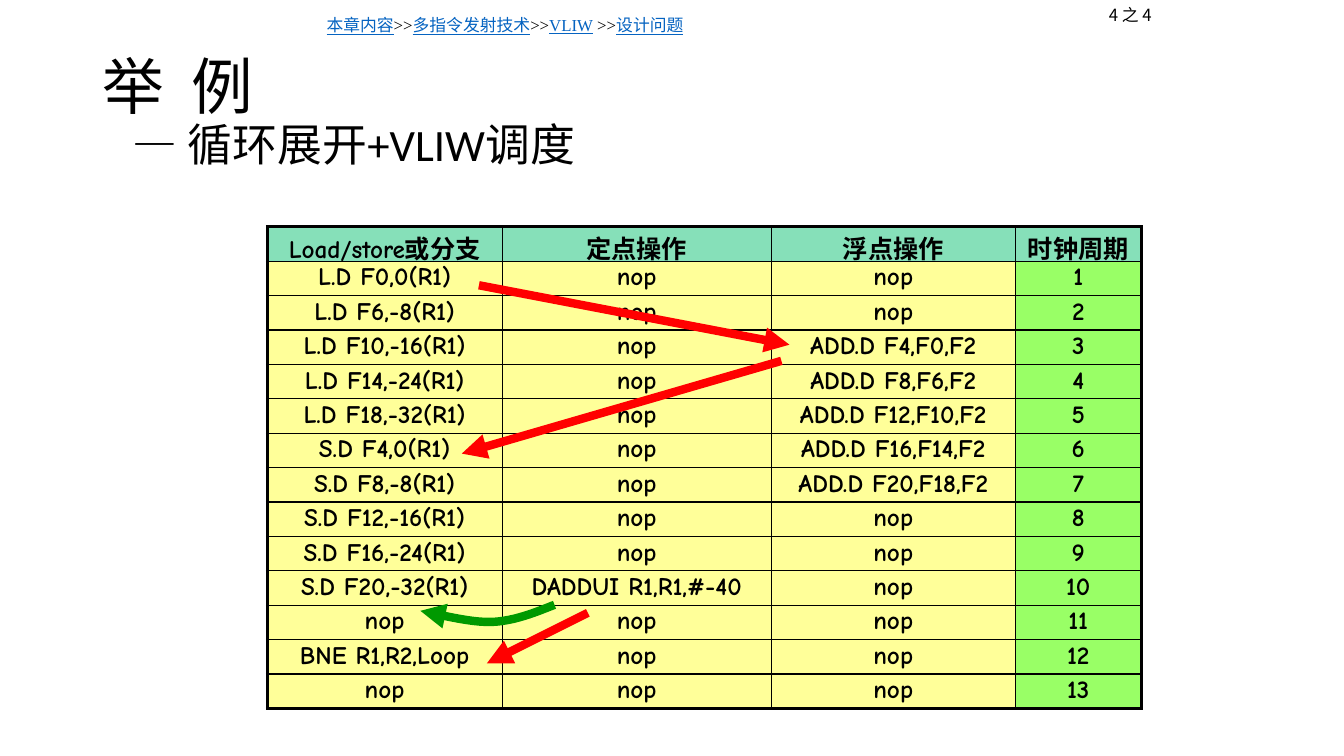
from lxml import etree
from pptx import Presentation
from pptx import util as u
from pptx.dml.color import RGBColor
from pptx.enum import shapes, text
from pptx.oxml.ns import qn

COLORS = {"ink": "000000", "link": "0563C1", "head": "86E0B9", "body": "FFFF99",
          "clock": "99FF66", "red": "FF0000", "green": "009900"}
HEADS = ["Load/store或分支", "定点操作", "浮点操作", "时钟周期"]
MEMORY = ["L.D F0,0(R1)", "L.D F6,-8(R1)", "L.D F10,-16(R1)", "L.D F14,-24(R1)",
          "L.D F18,-32(R1)", "S.D F4,0(R1)", "S.D F8,-8(R1)", "S.D F12,-16(R1)",
          "S.D F16,-24(R1)", "S.D F20,-32(R1)", "nop", "BNE R1,R2,Loop", "nop"]
FIXED = ["nop"] * 9 + ["DADDUI R1,R1,#-40"] + ["nop"] * 3
FLOAT = ["nop"] * 2 + ["ADD.D F4,F0,F2", "ADD.D F8,F6,F2", "ADD.D F12,F10,F2",
                       "ADD.D F16,F14,F2", "ADD.D F20,F18,F2"] + ["nop"] * 6
WIDTHS = [2.33, 2.67, 2.42, 1.25]
CJK = "Noto Sans CJK SC"


def rgb(name):
    return RGBColor.from_string(COLORS[name])


def write(par, words, size=12, font="Calibri", color="ink", bold=False, line=False):
    """Add one formatted run to a paragraph."""
    run = par.add_run()
    run.text = words
    face = run.font
    face.size, face.name, face.bold, face.underline = u.Pt(size), font, bold, line
    face.color.rgb = rgb(color)
    east = etree.SubElement(run._r.get_or_add_rPr(), qn("a:ea"))
    east.set("typeface", CJK)


def frame(slide, box):
    """Add a wrapping text box and return its text frame."""
    area = slide.shapes.add_textbox(*map(u.Inches, box)).text_frame
    area.word_wrap = True
    return area


def title(slide, box):
    area = frame(slide, box)
    area.vertical_anchor = text.MSO_ANCHOR.MIDDLE
    top, sub = area.paragraphs[0], area.add_paragraph()
    write(top, "举  例", size=44)
    write(sub, "— 循环展开+VLIW调度", size=32)
    sub._p.get_or_add_pPr().set("marL", str(u.Inches(0.3)))
    for par in (top, sub):
        par.line_spacing = 0.9


def trail(slide, box):
    """Breadcrumb whose links alternate with plain separators."""
    par = frame(slide, box).paragraphs[0]
    parts = ["本章内容", ">>", "多指令发射技术", ">>", "VLIW", " >>", "设计问题"]
    for i, part in enumerate(parts):
        link = i % 2 == 0
        write(par, part, font="Times New Roman", color="link" if link else "ink", line=link)


def number(slide, box):
    par = frame(slide, box).paragraphs[0]
    par.alignment = text.PP_ALIGN.CENTER
    write(par, "4 之 4", font=CJK)


def border(cell, edges):
    """Draw cell sides; edges maps a side letter to a width in points."""
    props = cell._tc.get_or_add_tcPr()
    for i, (side, width) in enumerate(edges.items()):
        line = etree.Element(qn("a:ln" + side), w=str(u.Pt(width)))
        fill = etree.SubElement(line, qn("a:solidFill"))
        etree.SubElement(fill, qn("a:srgbClr"), val=COLORS["ink"])
        props.insert(i, line)


def schedule(slide, box):
    clock = [str(n) for n in range(1, len(MEMORY) + 1)]
    rows = [HEADS, *zip(MEMORY, FIXED, FLOAT, clock)]
    last, end = len(rows) - 1, len(HEADS) - 1
    table = slide.shapes.add_table(len(rows), len(HEADS), *map(u.Inches, box)).table
    for col, width in zip(table.columns, WIDTHS):
        col.width = u.Inches(width)
    for r, row in enumerate(rows):
        table.rows[r].height = u.Inches(box[3] / len(rows))
        for c, words in enumerate(row):
            cell = table.cell(r, c)
            cell.margin_left = cell.margin_right = 0
            cell.margin_top = cell.margin_bottom = u.Inches(0.02)
            cell.fill.solid()
            cell.fill.fore_color.rgb = rgb("head" if r == 0 else "clock" if c == end else "body")
            par = cell.text_frame.paragraphs[0]
            par.alignment = text.PP_ALIGN.CENTER
            write(par, words, size=18, font="Comic Neue", bold=True)
            outer = {"L": c == 0, "R": c == end, "T": r == 0, "B": r == last}
            border(cell, {side: 2.25 if out else 1 for side, out in outer.items()})


def arrow(shape, color):
    """Give a line its colour, width and arrowhead."""
    shape.line.color.rgb = rgb(color)
    shape.line.width = u.Pt(6)
    etree.SubElement(shape.line._get_or_add_ln(), qn("a:tailEnd"), type="triangle")


def bezier(points, steps=12):
    """Sample a cubic curve, leaving out its start."""
    a, b, c, d = points
    for i in range(1, steps + 1):
        t = i / steps
        s = 1 - t
        yield tuple(s**3 * p + 3 * s * s * t * q + 3 * s * t * t * v + t**3 * w
                    for p, q, v, w in zip(a, b, c, d))


def links(slide, box):
    """Dependence arrows, placed from the table's corner."""
    x, y = box[:2]
    for ends in [(2.1, 0.58, 5.18, 1.17), (5.1, 1.33, 1.93, 2.25), (3.18, 3.83, 2.18, 4.33)]:
        x1, y1, x2, y2 = ends
        line = slide.shapes.add_connector(shapes.MSO_CONNECTOR.STRAIGHT,
                                          *map(u.Inches, (x + x1, y + y1, x + x2, y + y2)))
        arrow(line, "red")
        etree.SubElement(line._element.spPr, qn("a:effectLst"))
    curve = [(2.85, 3.75), (2.65, 3.83), (2.45, 3.91), (2.23, 3.92),
             (2.01, 3.93), (1.64, 3.83), (1.52, 3.81)]
    curve = [(u.Inches(x + p), u.Inches(y + q)) for p, q in curve]
    path = slide.shapes.build_freeform(*curve[0])
    path.add_line_segments([*bezier(curve[:4]), *bezier(curve[3:])], close=False)
    bend = path.convert_to_shape()
    bend.shadow.inherit = False
    bend.fill.background()
    arrow(bend, "green")


def main():
    deck = Presentation()
    deck.slide_width, deck.slide_height = u.Inches(13.33), u.Inches(7.5)
    slide = deck.slides.add_slide(deck.slide_layouts[6])
    title(slide, (0.92, 0.4, 11.5, 1.45))
    trail(slide, (3.14, 0.1, 8.28, 0.3))
    number(slide, (10.75, 0, 0.92, 0.3))
    grid = (2.65, 2.25, 8.67, 4.78)
    schedule(slide, grid)
    links(slide, grid)
    deck.save("out.pptx")


if __name__ == "__main__":
    main()
